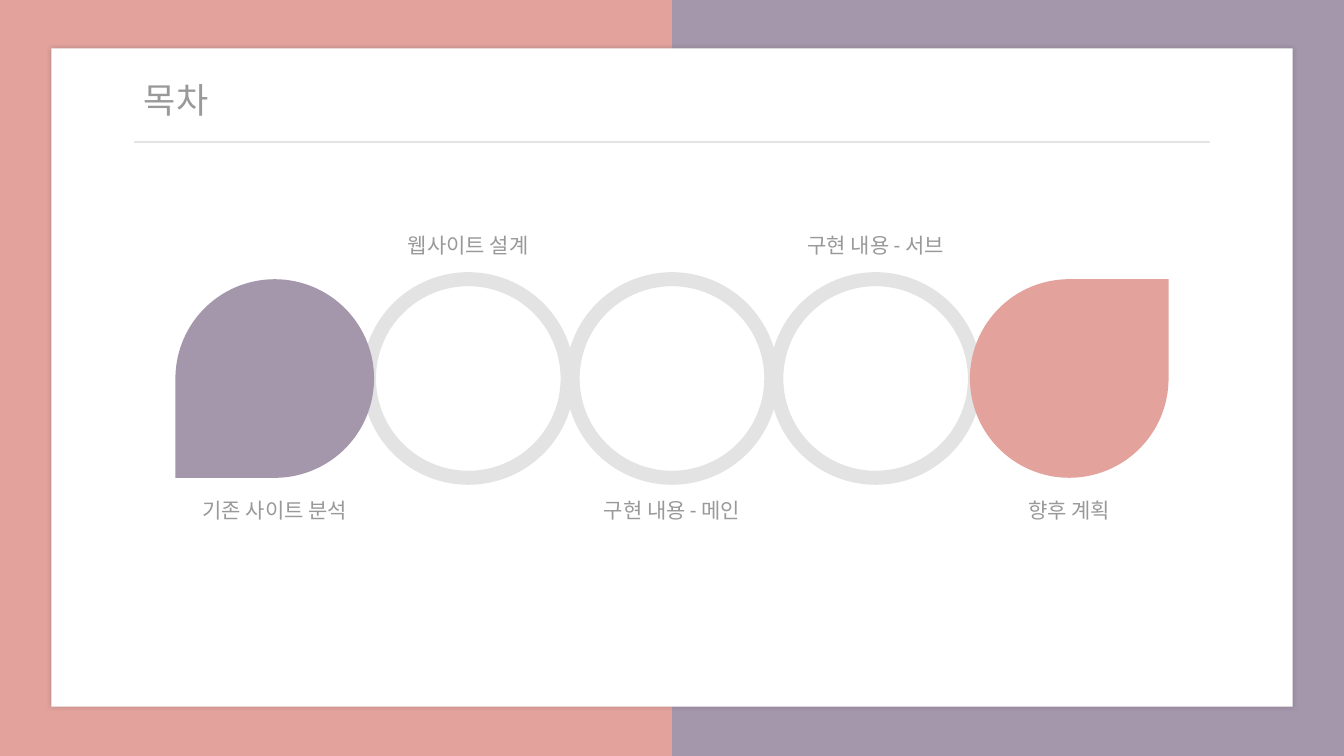
from dataclasses import dataclass

from lxml import etree
from pptx import Presentation
from pptx import util as u
from pptx.dml.color import RGBColor
from pptx.enum import shapes, text
from pptx.oxml import ns

COLORS = {
    "background": "515151",
    "purple": "A496AB",
    "pink": "E3A29C",
    "panel": "FFFFFF",
    "rule": "E3E3E3",
    "text": "999999",
    "shadow": "515151",
}
FONT = "Roboto"
WIDTH, HEIGHT = 13.33, 7.5
STEP_SIZE, STEP_TOP = 1.97, 2.77
LABEL_ABOVE, LABEL_BELOW = 2.26, 4.89
RING_PITCH, END_OFFSET = 2.02, 3.94
RECTANGLE = shapes.MSO_SHAPE.RECTANGLE
RING = shapes.MSO_SHAPE.OVAL
TEARDROP = shapes.MSO_SHAPE.TEAR


@dataclass
class Step:
    label: str
    offset: float  # distance of the centre from the middle of the slide
    label_top: float
    kind: shapes.MSO_SHAPE
    fill: str | None = None
    rotation: float = 0


STEPS = [
    Step("웹사이트 설계", -RING_PITCH, LABEL_ABOVE, RING),
    Step("구현 내용 - 메인", 0, LABEL_BELOW, RING),
    Step("구현 내용 - 서브", RING_PITCH, LABEL_ABOVE, RING),
    Step("기존 사이트 분석", -END_OFFSET, LABEL_BELOW, TEARDROP, "purple", 180),
    Step("향후 계획", END_OFFSET, LABEL_BELOW, TEARDROP, "pink"),
]


def color(name: str) -> RGBColor:
    return RGBColor.from_string(COLORS[name])


def add_shape(slide, kind, left: float, top: float, width: float, height: float,
              fill: str | None = None):
    shape = slide.shapes.add_shape(
        kind, u.Inches(left), u.Inches(top), u.Inches(width), u.Inches(height))
    shape.shadow.inherit = False
    shape.line.fill.background()
    if fill:
        shape.fill.solid()
        shape.fill.fore_color.rgb = color(fill)
    else:
        shape.fill.background()
    return shape


def add_text(slide, content: str, left: float, top: float, width: float,
             height: float, size: float, align=text.PP_ALIGN.LEFT) -> None:
    box = slide.shapes.add_textbox(
        u.Inches(left), u.Inches(top), u.Inches(width), u.Inches(height))
    frame = box.text_frame
    frame.word_wrap = True
    frame.auto_size = text.MSO_AUTO_SIZE.SHAPE_TO_FIT_TEXT
    paragraph = frame.paragraphs[0]
    paragraph.text = content
    paragraph.alignment = align
    paragraph.font.name = FONT
    paragraph.font.size = u.Pt(size)
    paragraph.font.color.rgb = color("text")


def add_glow_shadow(shape) -> None:
    effects = shape._element.spPr.find(ns.qn("a:effectLst"))
    shadow = etree.SubElement(effects, ns.qn("a:outerShdw"),
                              blurRad=str(u.Pt(3)), dist="0", dir="0",
                              algn="ctr", rotWithShape="0")
    tint = etree.SubElement(shadow, ns.qn("a:srgbClr"), val=COLORS["shadow"])
    etree.SubElement(tint, ns.qn("a:alpha"), val="30000")


def add_rule(slide, left: float, right: float, y: float) -> None:
    line = slide.shapes.add_connector(
        shapes.MSO_CONNECTOR.STRAIGHT,
        u.Inches(left), u.Inches(y), u.Inches(right), u.Inches(y))
    line.line.color.rgb = color("rule")
    line.line.width = u.Pt(1)
    etree.SubElement(line._element.spPr, ns.qn("a:effectLst"))


def add_step(slide, step: Step) -> None:
    left = (WIDTH - STEP_SIZE) / 2 + step.offset
    shape = add_shape(slide, step.kind, left, STEP_TOP, STEP_SIZE, STEP_SIZE, step.fill)
    shape.rotation = step.rotation
    if step.kind == RING:
        shape.line.color.rgb = color("rule")
        shape.line.width = u.Pt(10)
    add_text(slide, step.label, left, step.label_top, STEP_SIZE, 0.36, 15,
             text.PP_ALIGN.CENTER)


def main() -> None:
    presentation = Presentation()
    presentation.slide_width = u.Inches(WIDTH)
    presentation.slide_height = u.Inches(HEIGHT)
    slide = presentation.slides.add_slide(presentation.slide_layouts[6])

    # Two-colour backdrop and white panel
    slide.background.fill.solid()
    slide.background.fill.fore_color.rgb = color("background")
    half = WIDTH / 2
    add_shape(slide, RECTANGLE, half, 0, half, HEIGHT, "purple")
    add_shape(slide, RECTANGLE, 0, 0, half, HEIGHT, "pink")
    add_glow_shadow(add_shape(slide, RECTANGLE, 0.51, 0.48, 12.31, 6.53, "panel"))

    # Title
    add_rule(slide, 1.33, 12, 1.41)
    add_text(slide, "목차", 1.33, 0.73, 10.67, 0.52, 25)

    # Chain of contents
    for step in STEPS:
        add_step(slide, step)

    presentation.save("out.pptx")


if __name__ == "__main__":
    main()
